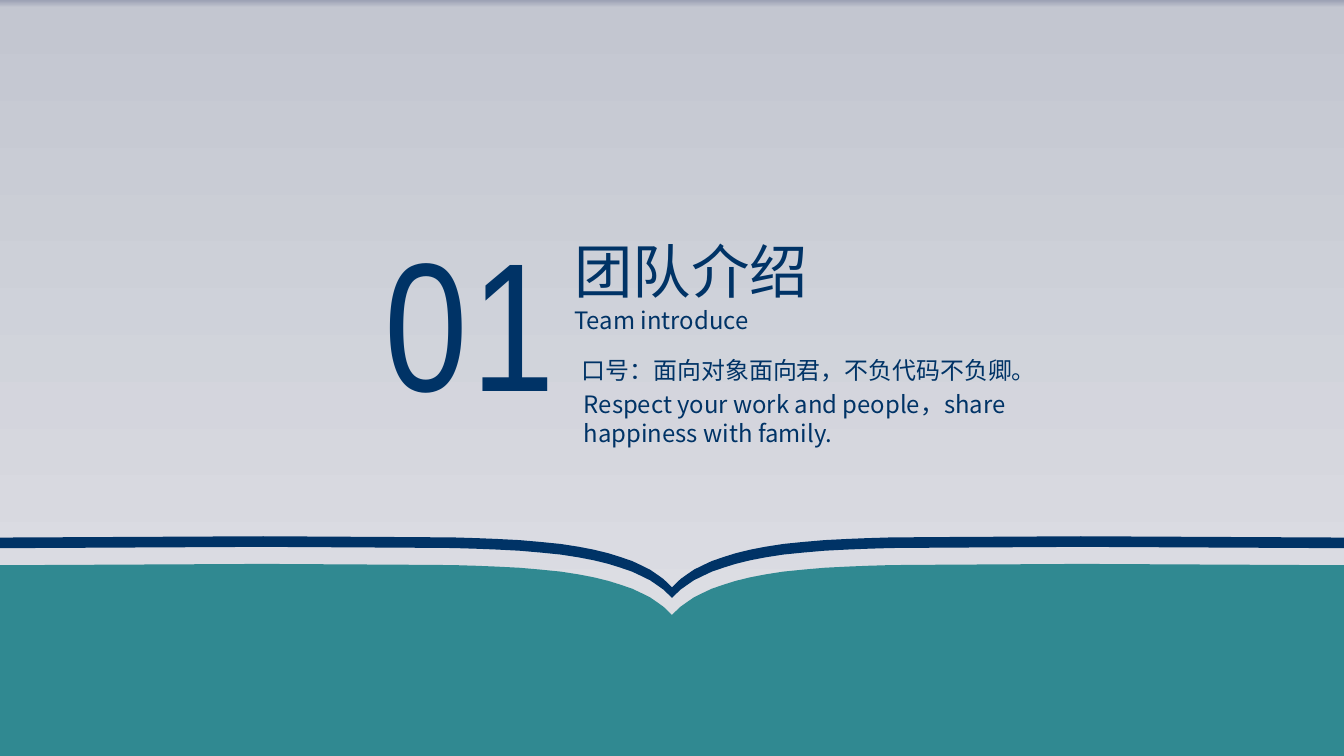
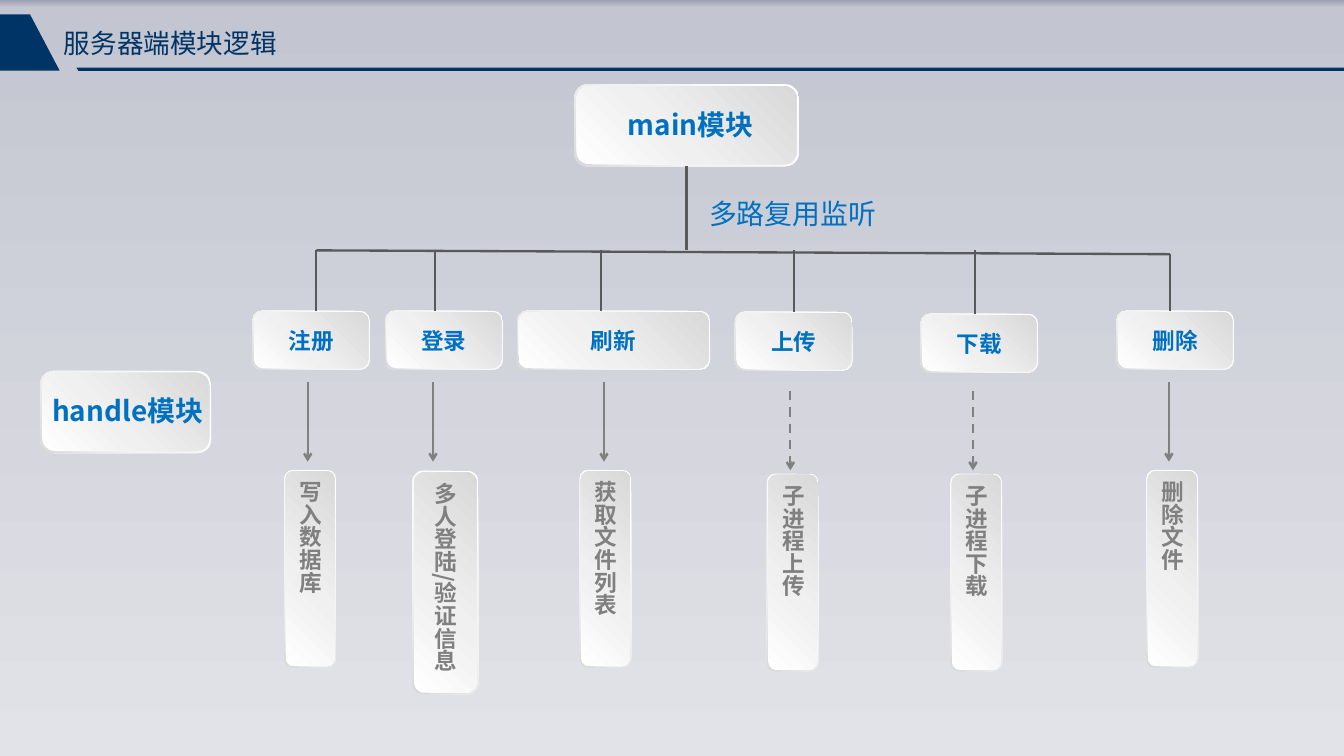
from collections import namedtuple
from dataclasses import dataclass

from lxml.etree import SubElement
from pptx import Presentation
from pptx.dml.color import RGBColor
from pptx.enum.dml import MSO_LINE
from pptx.enum.shapes import MSO_CONNECTOR, MSO_SHAPE
from pptx.enum.text import MSO_ANCHOR, PP_ALIGN
from pptx.oxml.ns import qn
from pptx.util import Pt

Box = namedtuple("Box", "left top width height")
Branch = namedtuple("Branch", "action tile drop_x arrow_x dashed result result_tile")


@dataclass(frozen=True)
class Theme:
    navy: str = "003366"
    teal: str = "308991"
    blue: str = "0070C0"
    grey: str = "808080"
    wire: str = "595959"
    page: tuple = ((0, "9BA0B4"), (1, "C3C6D0"), (100, "E2E3E8"))
    tile_rim: tuple = ((0, "FFFFFF"), (62, "F2F2F2"), (100, "D9D9D9"))
    tile_face: tuple = ((0, "FFFFFF"), (42, "F0F0F0"), (100, "D9D9D9"))
    cjk: str = "Noto Sans CJK SC"
    latin: str = "Arial"
    narrow: str = "Arial Narrow"
    number: int = 138
    headline: int = 44
    module: int = 21
    title: int = 20
    body: int = 18
    label: int = 17
    wire_width: float = 1.75


THEME = Theme()
PAGE = Box(0, 0, 1012.5, 569.5)
BOOK_PROFILE = [
    (0, 38.5), (3, 35.5), (6.5, 32.2), (11, 29), (16.5, 25.2), (23, 22),
    (30, 18.7), (39, 15.6), (48, 12.8), (59, 10.1), (70.5, 7.9), (84, 5.8),
    (99, 4.3), (115, 2.9), (133, 2), (148, 1.4), (165, 0.9), (204, 0.6),
    (308, 0), (506.25, 1),
]
BRANCHES = [
    Branch("注册", Box(190.1, 234, 88.6, 44.6), 238.3, 231.8, False,
           "写入数据库", Box(214.2, 354, 38.9, 149)),
    Branch("登录", Box(290.2, 234, 88.6, 44.6), 327.6, 326.2, False,
           "多人登陆/验证信息", Box(310.7, 354.6, 49.7, 168.5)),
    Branch("刷新", Box(389.5, 234, 145.4, 44.6), 452.9, 455, False,
           "获取文件列表", Box(436.7, 354, 38.9, 149)),
    Branch("上传", Box(553.7, 234.7, 88.6, 44.6), 596.9, 595.4, True,
           "子进程上传", Box(577.8, 356.8, 38.9, 149)),
    Branch("下载", Box(693.4, 236.2, 88.6, 44.6), 734.4, 733, True,
           "子进程下载", Box(716.1, 356.8, 38.9, 149)),
    Branch("删除", Box(841, 234, 88.6, 44.6), 881.3, 880.6, False,
           "删除文件", Box(863.7, 354, 38.9, 149)),
]


def points(box):
    return [Pt(length) for length in box]


def rgb(color):
    return RGBColor.from_string(color)


def set_gradient(fill, stops, clockwise):
    fill.gradient()
    fill.gradient_angle = 360 - clockwise
    stop_list = fill._fill._gradFill.find(qn("a:gsLst"))
    for stop in list(stop_list):
        stop_list.remove(stop)
    for percent, color in stops:
        stop = SubElement(stop_list, qn("a:gs"), pos=str(percent * 1000))
        SubElement(stop, qn("a:srgbClr"), val=color)


def write(shape, *lines, color=THEME.navy, font=THEME.cjk, bold=False,
          align=PP_ALIGN.LEFT, anchor=MSO_ANCHOR.TOP, insets=(0, 0, 0, 0),
          wrap=True, vertical=False, lead_percent=0, after=0, tracking=0):
    frame = shape.text_frame
    frame.word_wrap = wrap
    frame.vertical_anchor = anchor
    (frame.margin_left, frame.margin_top,
     frame.margin_right, frame.margin_bottom) = points(insets)
    if vertical:
        frame._txBody.bodyPr.set("vert", "eaVert")
    for index, (words, size) in enumerate(lines):
        paragraph = frame.add_paragraph() if index else frame.paragraphs[0]
        paragraph.alignment = align
        paragraph.space_after = Pt(after)
        if lead_percent:
            paragraph.space_before = Pt(0)
            before = paragraph._p.pPr.find(qn("a:spcBef"))
            before.remove(before[0])
            SubElement(before, qn("a:spcPct"), val=str(lead_percent * 1000))
        run = paragraph.add_run()
        run.text = words
        run.font.size = Pt(size)
        run.font.name = font
        run.font.bold = bold
        run.font.color.rgb = rgb(color)
        properties = run._r.get_or_add_rPr()
        SubElement(properties, qn("a:ea"), typeface=THEME.cjk)
        if tracking:
            properties.set("spc", str(tracking * 100))


def add_text(slide, box, *lines, **format):
    write(slide.shapes.add_textbox(*points(box)), *lines, **format)


def add_outline(slide, corners, color):
    first, *rest = [tuple(points(corner)) for corner in corners]
    builder = slide.shapes.build_freeform(*first, scale=1.0)
    builder.add_line_segments(rest, close=True)
    outline = builder.convert_to_shape()
    outline.shadow.inherit = False
    outline.fill.solid()
    outline.fill.fore_color.rgb = rgb(color)
    outline.line.fill.background()


def add_wire(slide, start, end, color=THEME.wire, dashed=False, arrow=False):
    wire = slide.shapes.add_connector(MSO_CONNECTOR.STRAIGHT, *points(start + end))
    wire.line.color.rgb = rgb(color)
    wire.line.width = Pt(THEME.wire_width)
    if dashed:
        wire.line.dash_style = MSO_LINE.DASH
    if arrow:
        SubElement(wire.line._get_or_add_ln(), qn("a:tailEnd"), type="arrow")
    SubElement(wire._element.spPr, qn("a:effectLst"))
    return wire


def add_tile(slide, box, words, size, **format):
    rim = 0.025 * min(box.width, box.height)
    face = Box(box.left + rim, box.top + rim,
               box.width - 2 * rim, box.height - 2 * rim)
    layers = ((box, THEME.tile_rim, 135), (face, THEME.tile_face, 315))
    tiles = []
    for area, stops, angle in layers:
        tile = slide.shapes.add_shape(MSO_SHAPE.ROUNDED_RECTANGLE, *points(area))
        tile.shadow.inherit = False
        tile.line.fill.background()
        set_gradient(tile.fill, stops, angle)
        tiles.append(tile)
    options = dict(bold=True, color=THEME.blue, align=PP_ALIGN.CENTER,
                   anchor=MSO_ANCHOR.MIDDLE, wrap=False)
    write(tiles[-1], (words, size), **{**options, **format})
    return tiles[0]


def book_edge(box, top, reverse=False):
    center = box.left + box.width / 2
    left = [(center - x, top + y) for x, y in reversed(BOOK_PROFILE)]
    right = [(center + x, top + y) for x, y in BOOK_PROFILE[1:]]
    edge = left + right
    return edge[::-1] if reverse else edge


def add_book(slide, box):
    right, bottom = box.left + box.width, box.top + box.height
    cover = book_edge(box, box.top + 20.8)
    add_outline(slide, cover + [(right, bottom), (box.left, bottom)], THEME.teal)
    band = book_edge(box, box.top) + book_edge(box, box.top + 8, reverse=True)
    add_outline(slide, band, THEME.navy)


def add_section_heading(slide, box):
    left, top = box.left, box.top
    add_text(slide, Box(left + 165, top + 23.8, 311.8, 74.9),
             ("团队介绍", THEME.headline), ("Team introduce", THEME.body))
    add_text(slide, Box(left + 170.6, top + 114.5, 408.2, 21.6),
             ("口号：面向对象面向君，不负代码不负卿。", THEME.body))
    add_text(slide, Box(left, top, 172.8, 174.2), ("01", THEME.number),
             font=THEME.narrow, align=PP_ALIGN.CENTER, lead_percent=20,
             tracking=3, insets=(7.2, 3.6, 7.2, 3.6))
    add_text(slide, Box(left + 165, top + 136.8, 408.2, 51.1),
             ("Respect your work and people，share happiness with family.", THEME.body),
             insets=(7.2, 3.6, 7.2, 3.6))


def add_title_bar(slide, box, title):
    left, top = box.left, box.top
    right, bottom = left + box.width, top + box.height
    add_outline(slide, [(left + 57.6, bottom - 2.4), (right, bottom - 2.4),
                        (right, bottom), (left + 59, bottom)], THEME.navy)
    add_outline(slide, [(left, top), (left + 22.6, top),
                        (left + 45, bottom), (left, bottom)], THEME.navy)
    add_text(slide, Box(left + 48.2, top + 9.4, 241.2, 24.5), (title, THEME.title),
             font=THEME.latin, lead_percent=20, after=6)


def add_branch(slide, branch, rail_y):
    tile = add_tile(slide, branch.tile, branch.action, THEME.label)
    drop = add_wire(slide, (branch.drop_x, rail_y), (branch.drop_x, branch.tile.top))
    middle = branch.tile.left + branch.tile.width / 2
    if abs(middle - branch.drop_x) < 3:
        drop.begin_x = Pt(middle)
        drop.end_connect(tile, 0)
    add_tile(slide, branch.result_tile, branch.result, THEME.label,
             color=THEME.grey, vertical=True, align=PP_ALIGN.LEFT,
             insets=(0, 5.5, 0, 0))
    arrow_top = 294.5 if branch.dashed else 288
    add_wire(slide, (branch.arrow_x, arrow_top), (branch.arrow_x, arrow_top + 59.8),
             color=THEME.grey, dashed=branch.dashed, arrow=True)


def add_module_tree(slide, box):
    main = Box(box.left + 432.7, box.top, 169.2, 61.9)
    main_tile = add_tile(slide, main, "main模块", THEME.module, insets=(6, 0, 0, 2))
    trunk_x = main.left + main.width / 2
    rail_y = box.top + 125.2
    trunk = add_wire(slide, (trunk_x, main.top + main.height), (trunk_x, rail_y))
    trunk.begin_connect(main_tile, 2)
    add_text(slide, Box(box.left + 493.9, box.top + 77.7, 206.6, 38.9),
             ("多路复用监听", THEME.module), color=THEME.blue,
             align=PP_ALIGN.CENTER, anchor=MSO_ANCHOR.MIDDLE)
    rail_end_y = rail_y + 2.9
    add_wire(slide, (BRANCHES[0].drop_x, rail_y), (BRANCHES[-1].drop_x, rail_end_y))
    for branch in BRANCHES:
        add_branch(slide, branch, rail_end_y if branch is BRANCHES[-1] else rail_y)
    add_tile(slide, Box(box.left + 30.2, box.top + 216, 128.9, 61.9),
             "handle模块", THEME.module, insets=(3, 0, 0, 2))


def build_section(slide):
    add_book(slide, Box(0, 404, PAGE.width, PAGE.height - 404))
    add_section_heading(slide, Box(267.8, 153.4, 580, 190))


def build_logic(slide):
    add_title_bar(slide, Box(0, 10.8, PAGE.width, 42.5), "服务器端模块逻辑")
    add_module_tree(slide, Box(0, 63.4, PAGE.width, 460))


def main():
    deck = Presentation()
    deck.slide_width, deck.slide_height = Pt(PAGE.width), Pt(PAGE.height)
    set_gradient(deck.slide_master.background.fill, THEME.page, 90)
    for build in (build_section, build_logic):
        build(deck.slides.add_slide(deck.slide_layouts[6]))
    deck.save("out.pptx")


if __name__ == "__main__":
    main()
